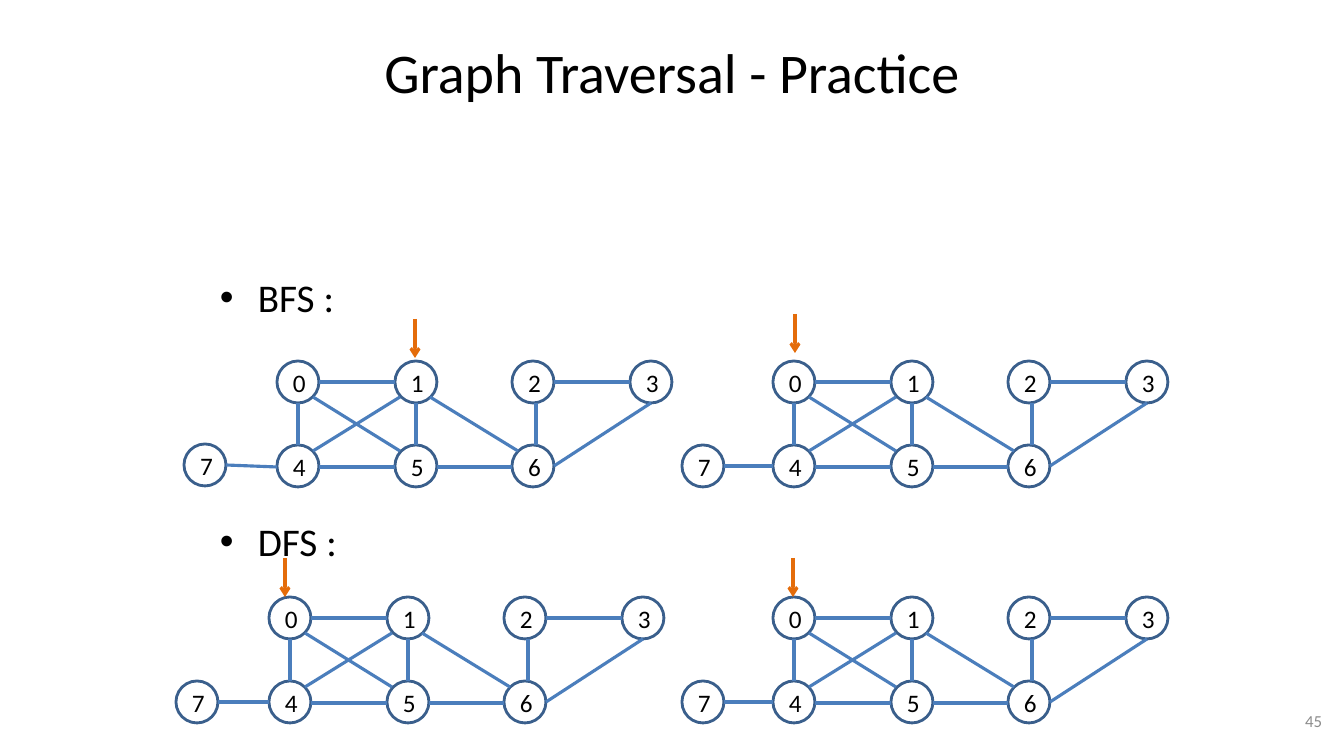
"""Builds the graph traversal practice slide with four copies of one graph."""
from lxml import etree
from pptx import Presentation
from pptx import util as u
from pptx.dml.color import RGBColor
from pptx.enum import shapes, text
from pptx.oxml.ns import qn

PX = 914400 / 100.8
BLACK = RGBColor(0x00, 0x00, 0x00)
GREY = RGBColor(0x8C, 0x8C, 0x8C)
NODE_BLUE = RGBColor(0x3A, 0x5F, 0x8C)
EDGE_BLUE = RGBColor(0x4B, 0x7E, 0xBC)
ORANGE = RGBColor(0xE4, 0x6C, 0x0A)
NODE = 42
ROW_STEP = 84

deck = Presentation()
deck.slide_width, deck.slide_height = round(1344 * PX), round(756 * PX)
slide = deck.slides.add_slide(deck.slide_layouts[6])


def write(holder, wording, size, color, align, anchor=text.MSO_ANCHOR.MIDDLE):
    frame = holder.text_frame
    frame.word_wrap = True
    frame.vertical_anchor = anchor
    paragraph = frame.paragraphs[0]
    paragraph.text = wording
    paragraph.alignment = align
    paragraph.font.name = "Calibri"
    paragraph.font.size = u.Pt(size)
    paragraph.font.color.rgb = color
    return paragraph


def draw_line(x1, y1, x2, y2, color):
    line = slide.shapes.add_connector(
        shapes.MSO_CONNECTOR.STRAIGHT, *(round(v * PX) for v in (x1, y1, x2, y2)))
    line.line.color.rgb = color
    line.line.width = u.Pt(2.25)
    etree.SubElement(line._element.spPr, qn("a:effectLst"))
    return line


labels = (
    ("Graph Traversal - Practice", (67, 8, 1210, 126), 40, BLACK,
     text.PP_ALIGN.CENTER, text.MSO_ANCHOR.MIDDLE),
    ("BFS :", (210, 268, 907, 66), 28, BLACK, text.PP_ALIGN.LEFT, text.MSO_ANCHOR.TOP),
    ("DFS :", (210, 512, 907, 66), 28, BLACK, text.PP_ALIGN.LEFT, text.MSO_ANCHOR.TOP),
    ("45", (1019, 701, 313, 40), 12, GREY, text.PP_ALIGN.RIGHT, text.MSO_ANCHOR.MIDDLE),
)
for wording, place, size, color, align, anchor in labels:
    label = slide.shapes.add_textbox(*(round(v * PX) for v in place))
    paragraph = write(label, wording, size, color, align, anchor)
    if wording.endswith(":"):
        indent = round(38 * PX)
        properties = paragraph._p.get_or_add_pPr()
        properties.set("marL", str(indent))
        properties.set("indent", str(-indent))
        etree.SubElement(properties, qn("a:buFont")).set("typeface", "Arial")
        etree.SubElement(properties, qn("a:buChar")).set("char", "•")

columns = [round(117.6 * i) for i in range(4)]
nodes = [(str(i), x, 0) for i, x in enumerate(columns)]
nodes += [(str(i + 4), x, ROW_STEP) for i, x in enumerate(columns[:3])]
edges = (
    (42, 21, 118, 21), (277, 21, 353, 21),
    (42, 106, 118, 106), (160, 106, 235, 106),
    (21, 84, 21, 42), (139, 84, 139, 42), (259, 84, 259, 42),
    (36, 90, 123, 36), (36, 36, 123, 90), (153, 36, 241, 90),
    (277, 105, 374, 42),
)

graphs = (
    (277, 361, -93, 83, 106, 415, 319),
    (773, 361, -91, 84, 105, 795, 314),
    (269, 597, -93, 84, 105, 285, 558),
    (773, 597, -91, 84, 105, 793, 558),
)
for left, top, seven_x, seven_y, seven_end, start_x, start_y in graphs:
    for number, x, y in nodes + [("7", seven_x, seven_y)]:
        node = slide.shapes.add_shape(
            shapes.MSO_SHAPE.OVAL,
            *(round(v * PX) for v in (left + x, top + y, NODE, NODE)))
        node.shadow.inherit = False
        node.fill.background()
        node.line.color.rgb = NODE_BLUE
        node.line.width = u.Pt(2)
        write(node, number, 18, BLACK, text.PP_ALIGN.CENTER)
    seven_edge = (seven_x + NODE, seven_y + NODE // 2, 0, seven_end)
    for x1, y1, x2, y2 in edges + (seven_edge,):
        draw_line(left + x1, top + y1, left + x2, top + y2, EDGE_BLUE)
    start = draw_line(start_x, start_y, start_x, start_y + 39, ORANGE)
    etree.SubElement(start.line._get_or_add_ln(), qn("a:tailEnd")).set("type", "arrow")

deck.save("out.pptx")
